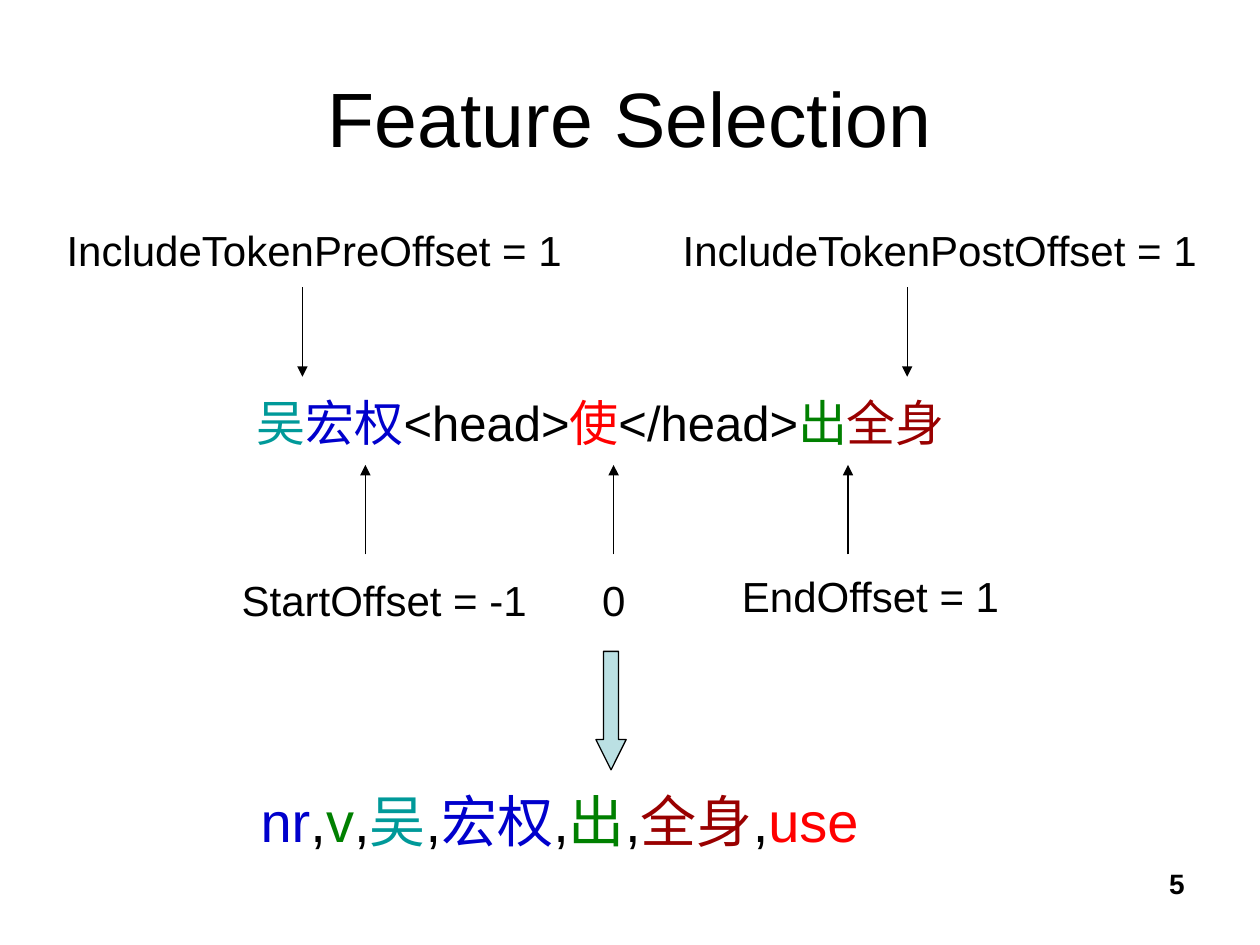
"""Build the Feature Selection slide: token offsets around a head word and the features they give."""
from dataclasses import dataclass

from lxml import etree
from pptx import Presentation
from pptx import util as u
from pptx.dml.color import RGBColor
from pptx.enum import shapes, text
from pptx.oxml.ns import qn

PX = u.Inches(1) // 100

BLACK = RGBColor(0x00, 0x00, 0x00)
TEAL = RGBColor(0x00, 0x99, 0x99)
BLUE = RGBColor(0x00, 0x00, 0xCC)
RED = RGBColor(0xFF, 0x00, 0x00)
GREEN = RGBColor(0x00, 0x80, 0x00)
MAROON = RGBColor(0x99, 0x00, 0x00)
PALE_BLUE = RGBColor(0xBB, 0xE0, 0xE3)

LEFT, CENTER, RIGHT = text.PP_ALIGN.LEFT, text.PP_ALIGN.CENTER, text.PP_ALIGN.RIGHT
TOP, MIDDLE = text.MSO_ANCHOR.TOP, text.MSO_ANCHOR.MIDDLE
FIXED, GROW = text.MSO_AUTO_SIZE.NONE, text.MSO_AUTO_SIZE.SHAPE_TO_FIT_TEXT

Run = tuple[str, RGBColor]
COMMA: Run = (",", BLACK)


@dataclass(frozen=True)
class Label:
    left: int
    top: int
    width: int
    height: int
    runs: tuple[Run, ...]
    size: int = 24
    align: text.PP_ALIGN = LEFT
    anchor: text.MSO_ANCHOR = TOP
    bold: bool = False
    wrap: bool = False


@dataclass(frozen=True)
class Pointer:
    x: int
    start: int
    end: int


def plain(words: str) -> tuple[Run, ...]:
    """Return the words as one black run."""
    return ((words, BLACK),)


LABELS = (
    Label(50, 30, 900, 125, plain("Feature Selection"), 44, CENTER, MIDDLE, wrap=True),
    Label(43, 173, 417, 50, plain("IncludeTokenPreOffset = 1")),
    Label(532, 173, 432, 50, plain("IncludeTokenPostOffset = 1")),
    Label(194, 307, 606, 57, (
        ("吴", TEAL), ("宏权", BLUE), ("<head>", BLACK), ("使", RED),
        ("</head>", BLACK), ("出", GREEN), ("全身", MAROON)), 28),
    Label(182, 451, 247, 50, plain("StartOffset = -1")),
    Label(468, 451, 38, 50, plain("0")),
    Label(579, 448, 225, 50, plain("EndOffset = 1")),
    Label(197, 619, 580, 64, (
        ("nr", BLUE), COMMA, ("v", GREEN), COMMA, ("吴", TEAL), COMMA, ("宏权", BLUE),
        COMMA, ("出", GREEN), COMMA, ("全身", MAROON), COMMA, ("use", RED)), 32),
    Label(717, 683, 233, 52, plain("5"), 16, RIGHT, bold=True, wrap=True),
)
POINTERS = (
    *(Pointer(x, 228, 299) for x in (240, 720)),
    *(Pointer(x, 440, 369) for x in (290, 487, 673)),
)


def apply(target, values: dict) -> None:
    """Set each named attribute on the target."""
    for name, value in values.items():
        setattr(target, name, value)


def draw_label(slide, label: Label) -> None:
    """Draw one line of coloured runs in a text box."""
    box = slide.shapes.add_textbox(
        label.left * PX, label.top * PX, label.width * PX, label.height * PX)
    apply(box.text_frame, {
        "word_wrap": label.wrap,
        "auto_size": FIXED if label.wrap else GROW,
        "vertical_anchor": label.anchor,
    })
    paragraph = box.text_frame.paragraphs[0]
    paragraph.alignment = label.align
    for words, color in label.runs:
        run = paragraph.add_run()
        run.text = words
        apply(run.font, {"name": "Arial", "size": u.Pt(label.size), "bold": label.bold})
        run.font.color.rgb = color


def draw_pointer(slide, pointer: Pointer) -> None:
    """Draw a thin vertical arrow."""
    connector = slide.shapes.add_connector(
        shapes.MSO_CONNECTOR.STRAIGHT,
        pointer.x * PX, pointer.start * PX, pointer.x * PX, pointer.end * PX)
    connector.line.color.rgb = BLACK
    connector.line.width = u.Pt(0.75)
    etree.SubElement(connector.line._get_or_add_ln(), qn("a:tailEnd"), type="triangle")
    etree.SubElement(connector._element.spPr, qn("a:effectLst"))


def draw_result_arrow(slide) -> None:
    """Draw the block arrow from the offsets down to the features."""
    arrow = slide.shapes.add_shape(
        shapes.MSO_SHAPE.DOWN_ARROW, 473 * PX, 517 * PX, 24 * PX, 94 * PX)
    arrow.adjustments[0], arrow.adjustments[1] = 0.5, 1
    arrow.shadow.inherit = False
    arrow.fill.solid()
    arrow.fill.fore_color.rgb = PALE_BLUE
    arrow.line.color.rgb = BLACK
    arrow.line.width = u.Pt(0.75)


def main() -> None:
    """Build and save the slide."""
    presentation = Presentation()
    apply(presentation, {"slide_width": 1000 * PX, "slide_height": 750 * PX})
    slide = presentation.slides.add_slide(presentation.slide_layouts[6])
    for label in LABELS:
        draw_label(slide, label)
    for pointer in POINTERS:
        draw_pointer(slide, pointer)
    draw_result_arrow(slide)
    presentation.save("out.pptx")


if __name__ == "__main__":
    main()
